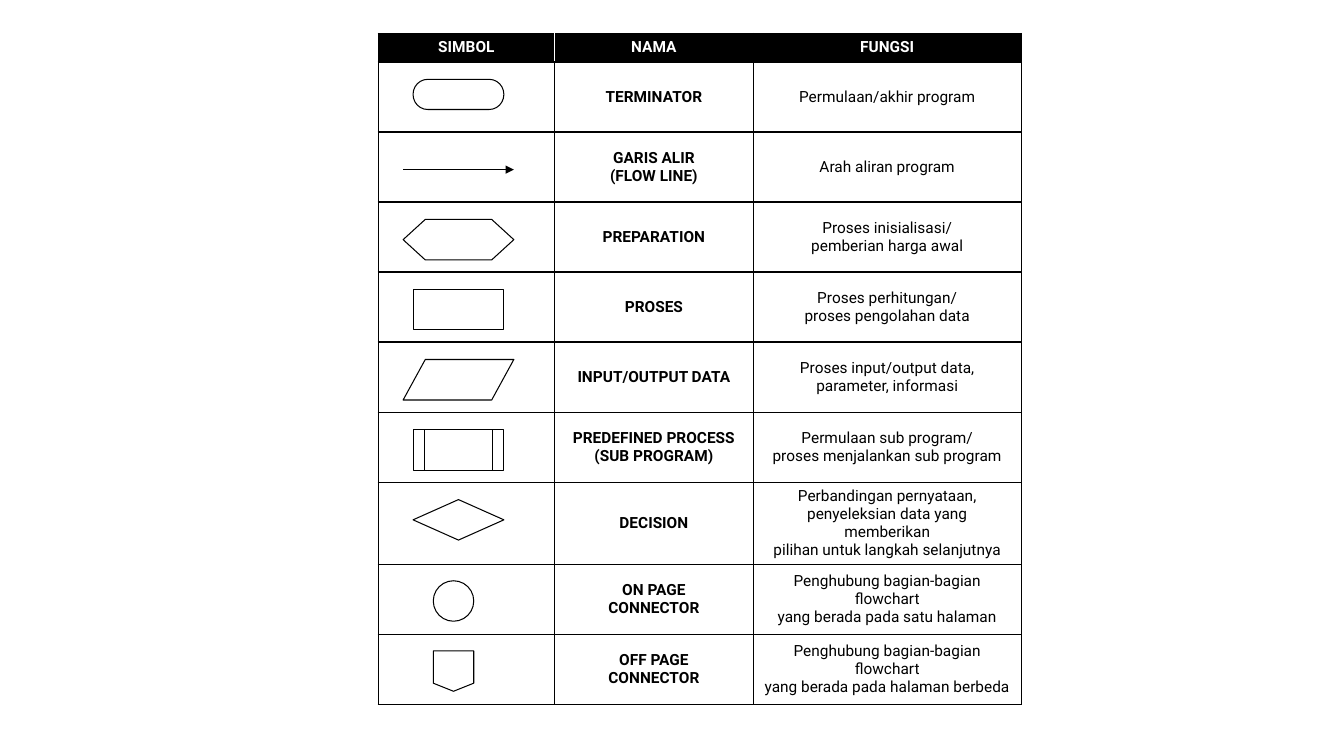
from dataclasses import dataclass

from lxml import etree
from pptx import Presentation
from pptx import util as u
from pptx.dml.color import RGBColor
from pptx.enum import shapes, text
from pptx.oxml import ns

Shape = shapes.MSO_SHAPE


@dataclass(frozen=True)
class Theme:
    font: str = "Roboto"
    size: float = 11
    ink: str = "000000"
    paper: str = "FFFFFF"
    thin: float = 0.75
    rule: float = 1


HEADINGS = ["SIMBOL", "NAMA", "FUNGSI"]
ENTRIES = [
    (Shape.FLOWCHART_TERMINATOR, 10.41, 2.29, 0.76,
     ["TERMINATOR"], ["Permulaan/akhir program"]),
    (None, 10.16, 2.79, 1.02,
     ["GARIS ALIR", "(FLOW LINE)"], ["Arah aliran program"]),
    (Shape.FLOWCHART_PREPARATION, 10.16, 2.79, 1.02,
     ["PREPARATION"], ["Proses inisialisasi/", "pemberian harga awal"]),
    (Shape.FLOWCHART_PROCESS, 10.41, 2.29, 1.02,
     ["PROSES"], ["Proses perhitungan/", "proses pengolahan data"]),
    (Shape.FLOWCHART_DATA, 10.16, 2.79, 1.02,
     ["INPUT/OUTPUT DATA"],
     ["Proses input/output data,", "parameter, informasi"]),
    (Shape.FLOWCHART_PREDEFINED_PROCESS, 10.41, 2.29, 1.02,
     ["PREDEFINED PROCESS", "(SUB PROGRAM)"],
     ["Permulaan sub program/", "proses menjalankan sub program"]),
    (Shape.FLOWCHART_DECISION, 10.41, 2.29, 1.02,
     ["DECISION"],
     ["Perbandingan pernyataan,", "penyeleksian data yang memberikan",
      "pilihan untuk langkah selanjutnya"]),
    (Shape.FLOWCHART_CONNECTOR, 10.92, 1.02, 1.02,
     ["ON PAGE", "CONNECTOR"],
     ["Penghubung bagian-bagian flowchart", "yang berada pada satu halaman"]),
    (Shape.FLOWCHART_OFFPAGE_CONNECTOR, 10.92, 1.02, 1.02,
     ["OFF PAGE", "CONNECTOR"],
     ["Penghubung bagian-bagian flowchart",
      "yang berada pada halaman berbeda"]),
]
COLUMNS = [4.45, 5.0, 6.76]
HEADER_HEIGHT = 0.72
ROW_HEIGHT = 1.765
TABLE_LEFT, TABLE_TOP = 9.53, 0.84
FIRST_SYMBOL_TOP = 2.0
DECISION_ROW = 6
DECISION_GROWTH = 0.28


class Sheet:
    def __init__(self, page, theme):
        self.page = page
        self.theme = theme

    def outline(self, line):
        line.color.rgb = RGBColor.from_string(self.theme.ink)
        line.width = u.Pt(self.theme.thin)

    def symbol(self, kind, left, top, width, height):
        box = self.page.shapes.add_shape(
            kind, u.Cm(left), u.Cm(top), u.Cm(width), u.Cm(height))
        box.shadow.inherit = False
        box.fill.solid()
        box.fill.fore_color.rgb = RGBColor.from_string(self.theme.paper)
        self.outline(box.line)

    def arrow(self, left, middle, width):
        arrow = self.page.shapes.add_connector(
            shapes.MSO_CONNECTOR.STRAIGHT, u.Cm(left), u.Cm(middle),
            u.Cm(left + width), u.Cm(middle))
        self.outline(arrow.line)
        outline = arrow._element.spPr.find(ns.qn("a:ln"))
        etree.SubElement(outline, ns.qn("a:tailEnd"), type="triangle")
        etree.SubElement(arrow._element.spPr, ns.qn("a:effectLst"))

    def table(self, left, top, columns, heights):
        frame = self.page.shapes.add_table(
            len(heights), len(columns), u.Cm(left), u.Cm(top),
            u.Cm(sum(columns)), u.Cm(sum(heights)))
        table = frame.table
        table.first_row = table.horz_banding = False
        for column, width in zip(table.columns, columns):
            column.width = u.Cm(width)
        for row, height in zip(table.rows, heights):
            row.height = u.Cm(height)
        return table

    def borders(self, cell, width, white_side=None):
        properties = cell._tc.get_or_add_tcPr()
        for side in "LRTB":
            white = side == white_side
            weight = self.theme.rule if white else width
            line = etree.SubElement(properties, ns.qn(f"a:ln{side}"),
                                    w=str(u.Pt(weight)))
            fill = etree.SubElement(line, ns.qn("a:solidFill"))
            etree.SubElement(fill, ns.qn("a:srgbClr"),
                             val=self.theme.paper if white else self.theme.ink)

    def lettering(self, cell, lines, color, bold):
        frame = cell.text_frame
        for index, line in enumerate(lines):
            para = frame.add_paragraph() if index else frame.paragraphs[0]
            para.alignment = text.PP_ALIGN.CENTER
            span = para.add_run()
            span.text = line
            span.font.name = self.theme.font
            span.font.size = u.Pt(self.theme.size)
            span.font.bold = bold
            span.font.color.rgb = RGBColor.from_string(color)

    def header_cell(self, cell, heading, white_side):
        self.borders(cell, self.theme.thin, white_side)
        cell.fill.solid()
        cell.fill.fore_color.rgb = RGBColor.from_string(self.theme.ink)
        self.lettering(cell, [heading], self.theme.paper, True)

    def body_cell(self, cell, lines, bold):
        self.borders(cell, self.theme.rule)
        cell.fill.background()
        cell.vertical_anchor = text.MSO_ANCHOR.MIDDLE
        self.lettering(cell, lines, self.theme.ink, bold)


def main():
    deck = Presentation()
    deck.slide_width, deck.slide_height = u.Cm(33.87), u.Cm(19.05)
    sheet = Sheet(deck.slides.add_slide(deck.slide_layouts[6]), Theme())

    for index, (kind, left, width, height, _, _) in enumerate(ENTRIES):
        top = FIRST_SYMBOL_TOP + index * ROW_HEIGHT
        if index > DECISION_ROW:
            top += DECISION_GROWTH
        if kind is None:
            sheet.arrow(left, top + height / 2, width)
        else:
            sheet.symbol(kind, left, top, width, height)

    heights = [HEADER_HEIGHT] + [ROW_HEIGHT] * len(ENTRIES)
    heights[DECISION_ROW + 1] += DECISION_GROWTH
    table = sheet.table(TABLE_LEFT, TABLE_TOP, COLUMNS, heights)
    for column, (heading, side) in enumerate(zip(HEADINGS, ["R", "L", None])):
        sheet.header_cell(table.cell(0, column), heading, side)
    for row, (*_, name, purpose) in enumerate(ENTRIES, start=1):
        for column, lines in enumerate([[], name, purpose]):
            sheet.body_cell(table.cell(row, column), lines, column == 1)

    deck.save("out.pptx")


if __name__ == "__main__":
    main()
